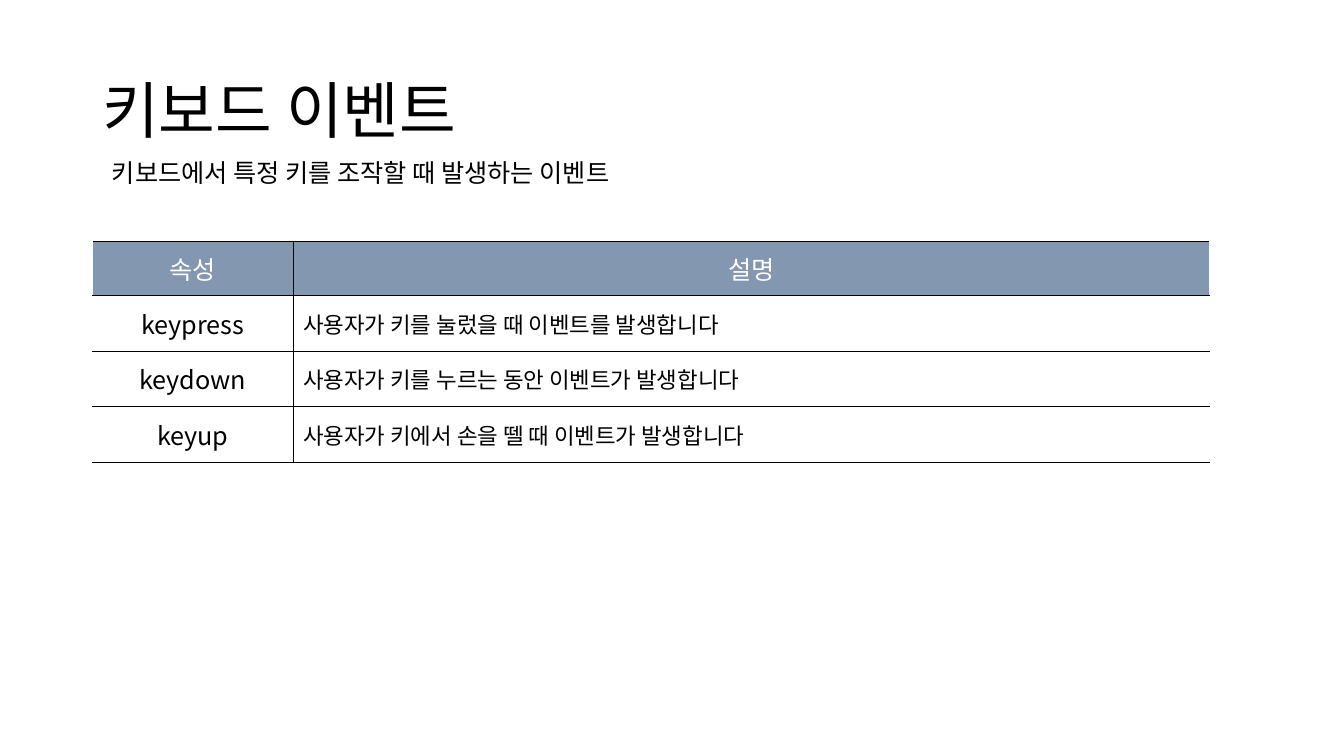
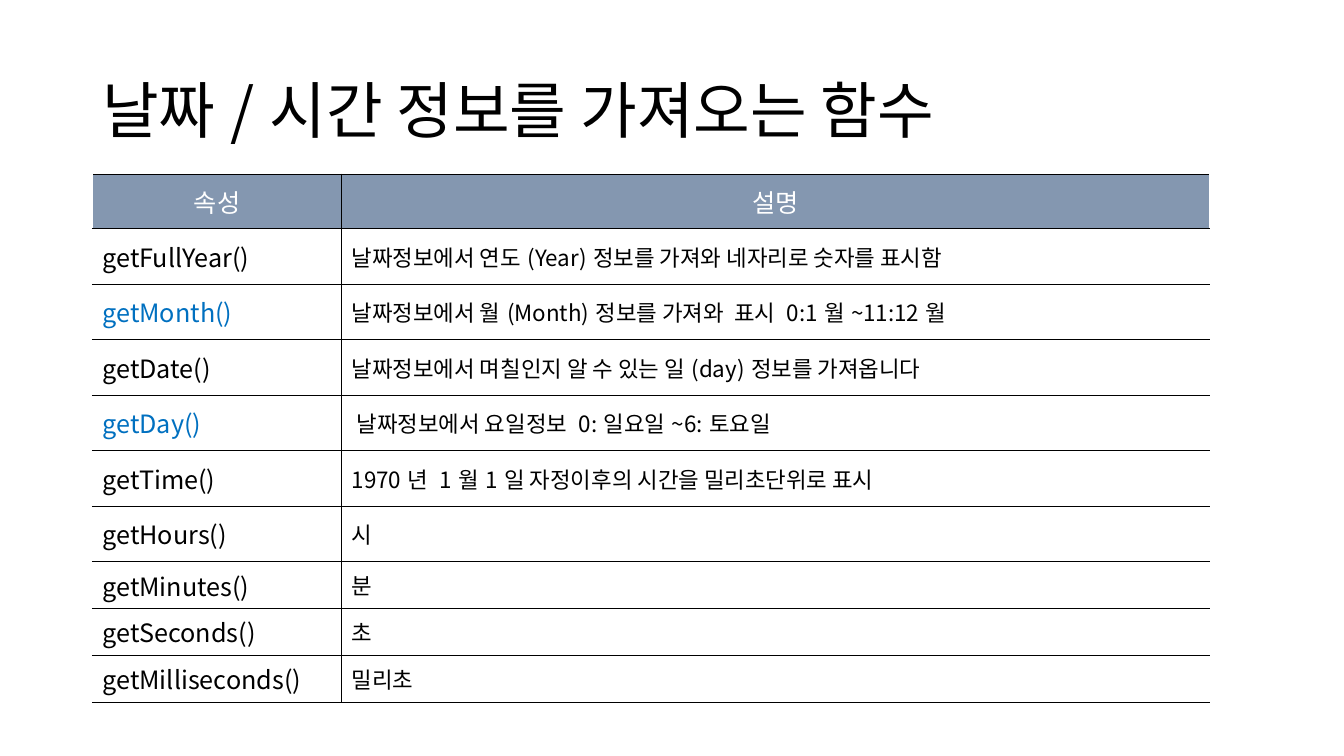
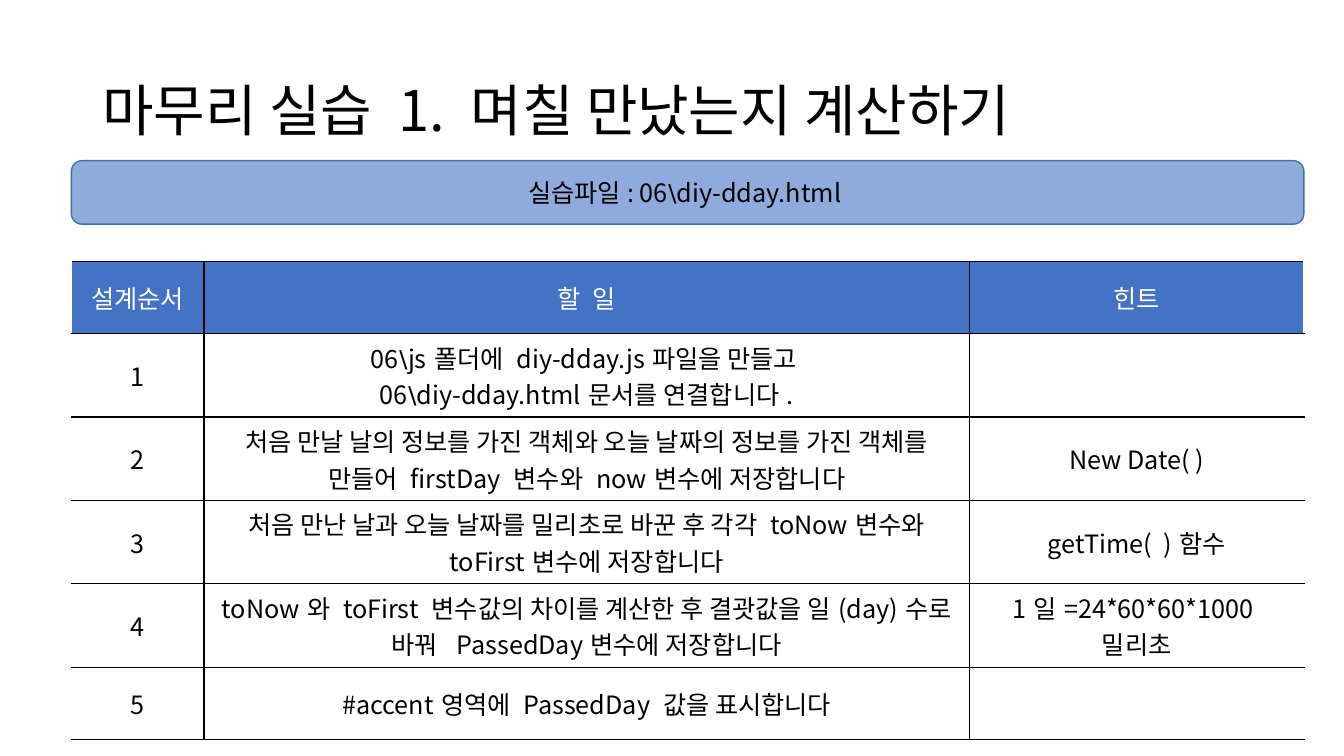
from dataclasses import dataclass
from itertools import groupby

from lxml.etree import SubElement
from pptx import Presentation
from pptx.dml.color import RGBColor
from pptx.enum.shapes import MSO_SHAPE
from pptx.enum.text import MSO_ANCHOR, PP_ALIGN
from pptx.oxml.ns import qn
from pptx.util import Cm, Pt


@dataclass(frozen=True)
class Theme:
    font: str = "Noto Sans CJK KR"
    backslash_font: str = "Roboto Condensed"
    black: str = "000000"
    white: str = "FFFFFF"
    slate: str = "8497B0"
    blue: str = "4472C4"
    highlight: str = "0070C0"
    banner: str = "8FAADC"
    banner_line: str = "43739E"
    title: int = 44
    long_title: int = 40
    body: int = 18
    detail: int = 16


theme = Theme()


def write(frame, text, size=theme.body, colour=theme.black, align=PP_ALIGN.LEFT):
    para = frame.paragraphs[0]
    para.alignment = align
    for number, line in enumerate(text.split("\n")):
        if number:
            para.add_line_break()
        for is_backslash, letters in groupby(line, lambda letter: letter == "\\"):
            span = para.add_run()
            span.text = "".join(letters)
            span.font.name = theme.backslash_font if is_backslash else theme.font
            span.font.size = Pt(size)
            span.font.color.rgb = RGBColor.from_string(colour)
            east_asian = SubElement(span.font._element, qn("a:ea"))
            east_asian.set("typeface", theme.font)
    return para


def add_grid(page, left, top, widths, heights, header_fill, rows, aligns, sizes):
    table = page.shapes.add_table(
        len(rows), len(widths), Cm(left), Cm(top), Cm(sum(widths)), Cm(sum(heights))
    ).table
    table.first_row = table.horz_banding = False
    for column, width in zip(table.columns, widths):
        column.width = Cm(width)
    for row, height in zip(table.rows, heights):
        row.height = Cm(height)
    last = len(widths) - 1
    for row_number, texts in enumerate(rows):
        for column_number, text in enumerate(texts):
            cell = table.cell(row_number, column_number)
            cell.vertical_anchor = MSO_ANCHOR.MIDDLE
            edges = {
                "a:lnL": theme.black if column_number else theme.white,
                "a:lnR": theme.black if column_number < last else theme.white,
                "a:lnT": theme.black,
                "a:lnB": theme.black,
            }
            for tag, colour in edges.items():
                edge = SubElement(cell._tc.get_or_add_tcPr(), qn(tag), w=str(Pt(1)))
                paint = SubElement(edge, qn("a:solidFill"))
                SubElement(paint, qn("a:srgbClr"), val=colour)
            is_header = row_number == 0
            cell.fill.solid()
            cell.fill.fore_color.rgb = RGBColor.from_string(
                header_fill if is_header else theme.white
            )
            if is_header:
                write(cell.text_frame, text, theme.body, theme.white, PP_ALIGN.CENTER)
            elif text:
                colour = theme.highlight if text in highlighted else theme.black
                write(cell.text_frame, text, sizes[column_number], colour, aligns[column_number])


highlighted = {"getMonth()", "getDay()"}

keyboard_rows = [
    ("속성", "설명"),
    ("keypress", "사용자가 키를 눌렀을 때 이벤트를 발생합니다"),
    ("keydown", "사용자가 키를 누르는 동안 이벤트가 발생합니다"),
    ("keyup", "사용자가 키에서 손을 뗄 때 이벤트가 발생합니다"),
]
date_rows = [
    ("속성", "설명"),
    ("getFullYear()", "날짜정보에서 연도(Year)정보를 가져와 네자리로 숫자를 표시함"),
    ("getMonth()", "날짜정보에서 월(Month)정보를 가져와  표시 0:1월~11:12월"),
    ("getDate()", "날짜정보에서 며칠인지 알 수 있는 일(day)정보를 가져옵니다"),
    ("getDay()", " 날짜정보에서 요일정보 0:일요일~6:토요일"),
    ("getTime()", "1970년 1월1일 자정이후의 시간을 밀리초단위로 표시"),
    ("getHours()", "시"),
    ("getMinutes()", "분"),
    ("getSeconds()", "초"),
    ("getMilliseconds()", "밀리초"),
]
practice_rows = [
    ("설계순서", "할  일", "힌트"),
    ("1", "06\\js폴더에 diy-dday.js파일을 만들고 \n06\\diy-dday.html문서를 연결합니다.", ""),
    (
        "2",
        "처음 만날 날의 정보를 가진 객체와 오늘 날짜의 정보를 가진 객체를 "
        "만들어 firstDay 변수와 now변수에 저장합니다",
        "New Date( )",
    ),
    (
        "3",
        "처음 만난 날과 오늘 날짜를 밀리초로 바꾼 후 각각 toNow변수와 "
        "toFirst변수에 저장합니다",
        "getTime(  )함수",
    ),
    (
        "4",
        "toNow와 toFirst 변수값의 차이를 계산한 후 결괏값을 일(day)수로 "
        "바꿔  PassedDay변수에 저장합니다",
        "1일=24*60*60*1000밀리초",
    ),
    ("5", "#accent영역에 PassedDay 값을 표시합니다", ""),
]

deck = Presentation()
deck.slide_width, deck.slide_height = Cm(33.87), Cm(19.05)

pages = []
for title, size in [
    ("키보드 이벤트", theme.title),
    ("날짜/시간 정보를 가져오는 함수", theme.title),
    ("마무리 실습 1. 며칠 만났는지 계산하기", theme.long_title),
]:
    page = deck.slides.add_slide(deck.slide_layouts[6])
    box = page.shapes.add_textbox(Cm(2.33), Cm(1.01), Cm(29.21), Cm(3.68))
    box.text_frame.word_wrap = True
    box.text_frame.vertical_anchor = MSO_ANCHOR.MIDDLE
    write(box.text_frame, title, size).line_spacing = 0.9
    pages.append(page)
keyboard_page, date_page, practice_page = pages

subtitle = keyboard_page.shapes.add_textbox(Cm(2.57), Cm(3.84), Cm(21.26), Cm(1.03))
subtitle.text_frame.word_wrap = True
write(subtitle.text_frame, "키보드에서 특정 키를 조작할 때 발생하는 이벤트")

add_grid(
    keyboard_page, 2.33, 6.08, [5.06, 23.09], [1.37] + [1.4] * 3, theme.slate,
    keyboard_rows, [PP_ALIGN.CENTER, PP_ALIGN.LEFT], [theme.body, theme.detail],
)
add_grid(
    date_page, 2.33, 4.39, [6.28, 21.87], [1.37] + [1.4] * 6 + [1.18] * 3, theme.slate,
    date_rows, [PP_ALIGN.LEFT] * 2, [theme.body, theme.detail],
)

banner = practice_page.shapes.add_shape(
    MSO_SHAPE.ROUNDED_RECTANGLE, Cm(1.8), Cm(4.05), Cm(31.06), Cm(1.6)
)
banner.shadow.inherit = False
banner.fill.solid()
banner.fill.fore_color.rgb = RGBColor.from_string(theme.banner)
banner.line.color.rgb = RGBColor.from_string(theme.banner_line)
banner.line.width = Pt(1)
banner.text_frame.vertical_anchor = MSO_ANCHOR.MIDDLE
write(banner.text_frame, "실습파일: 06\\diy-dday.html ", align=PP_ALIGN.CENTER)

add_grid(
    practice_page, 1.8, 6.58, [3.34, 19.29, 8.43], [1.83] + [2.1] * 4 + [1.83], theme.blue,
    practice_rows, [PP_ALIGN.CENTER] * 3, [theme.body] * 3,
)

deck.save("out.pptx")
